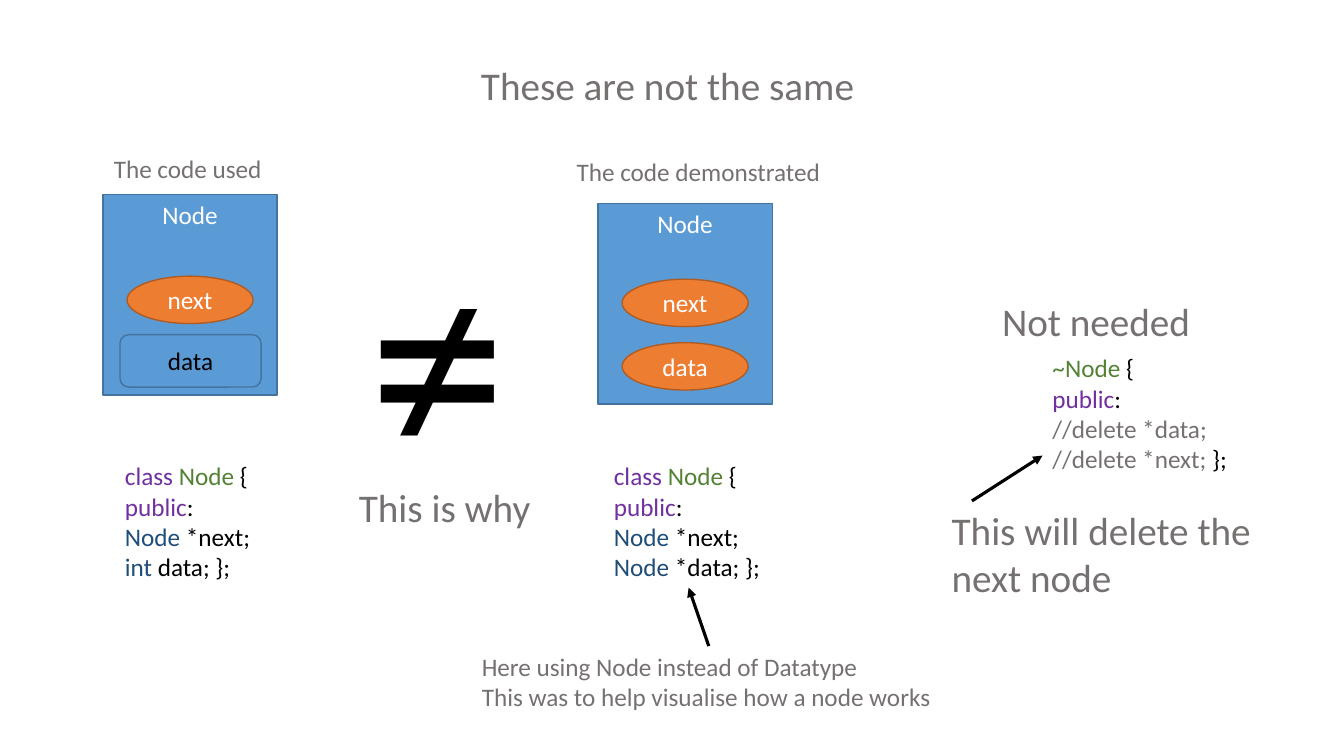
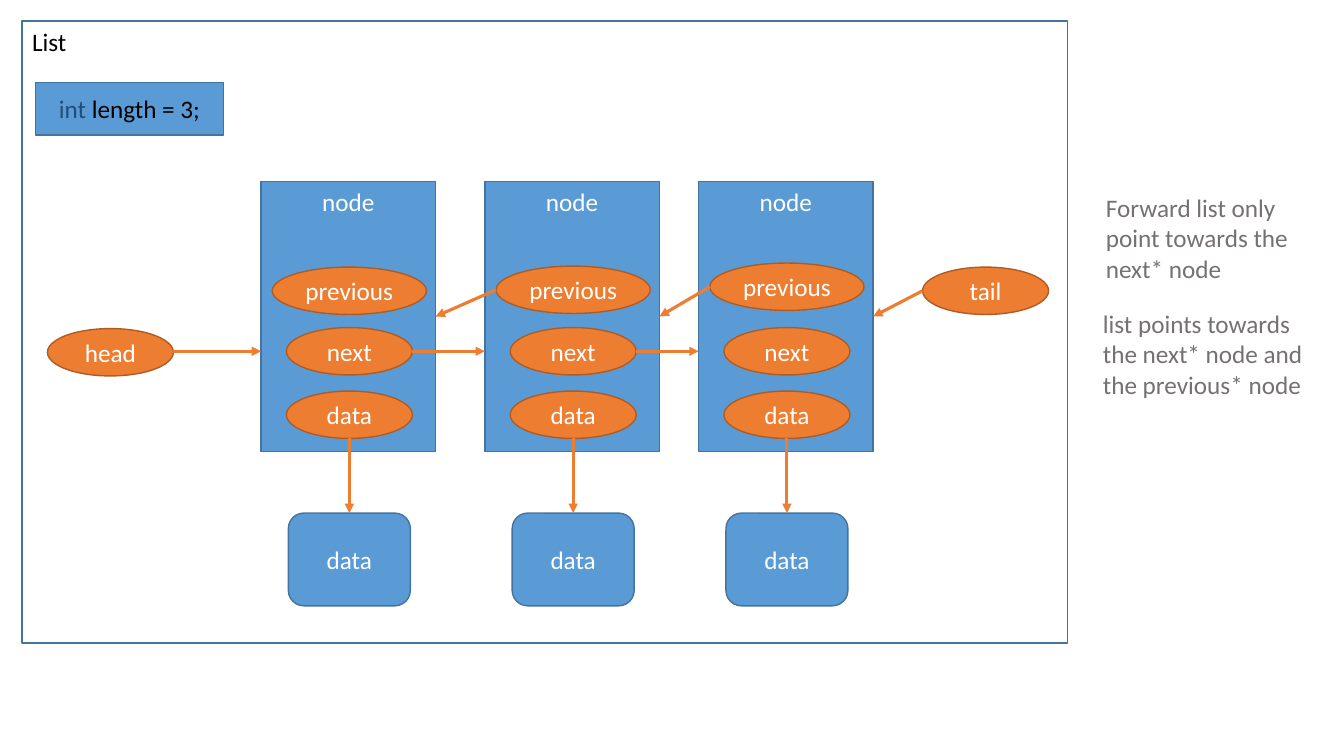
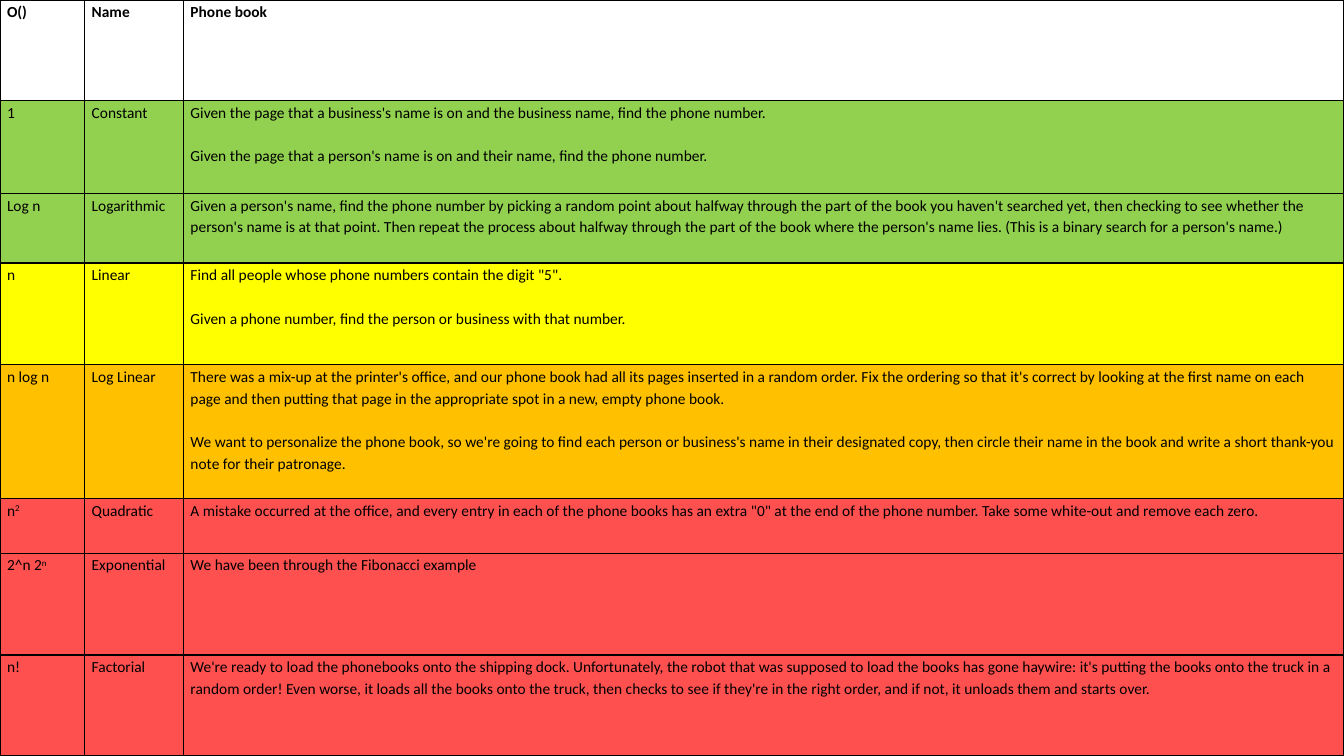
"""Build three slides on linked-list nodes and Big O notation."""
from lxml.etree import SubElement
from pptx import Presentation
from pptx.dml.color import RGBColor
from pptx.enum.shapes import MSO_CONNECTOR, MSO_SHAPE
from pptx.enum.text import MSO_ANCHOR, MSO_AUTO_SIZE, PP_ALIGN
from pptx.oxml.ns import qn
from pptx.util import Inches, Pt

FONT = "Calibri"
BLACK, WHITE, GREY = "000000", "FFFFFF", "767171"
PURPLE, GREEN, NAVY = "7030A0", "548235", "1F4E79"
BLUE, BLUE_EDGE, ORANGE, ORANGE_EDGE = "5B9BD5", "43739E", "ED7D31", "AF5C24"
LIME, YELLOW, AMBER, RED = "92D050", "FFFF00", "FFC000", "FF5050"
SLIDE_WIDTH, SLIDE_HEIGHT = 13.33, 7.5
NODE_WIDTH = 1.73
POINTER_WIDTH, POINTER_HEIGHT = 1.25, 0.47
RECTANGLE, ROUNDED, ELLIPSE = MSO_SHAPE.RECTANGLE, MSO_SHAPE.ROUNDED_RECTANGLE, MSO_SHAPE.OVAL
TOP_SIDE, RIGHT_SIDE = 0, 3

TITLE = ("These are not the same", (4.67, 0.56, 3.94, 0.57))
PUBLIC_LINE = [("public", PURPLE), (":", BLACK)]
CLASS_OPENING = [
    [("class ", PURPLE), ("Node ", GREEN), ("{", BLACK)],
    PUBLIC_LINE,
    [("Node ", NAVY), ("*next;", BLACK)],
]
CODE_BLOCKS = [
    ((1.14, 4.52, 1.49, 1.31), CLASS_OPENING + [[("int", NAVY), (" data; };", BLACK)]]),
    ((5.99, 4.52, 1.67, 1.31), CLASS_OPENING + [[("Node ", NAVY), ("*data; };", BLACK)]]),
    ((10.34, 3.45, 1.95, 1.31), [
        [("~Node ", GREEN), ("{", BLACK)],
        PUBLIC_LINE,
        ["//delete *data;"],
        ["//delete *next; ", ("};", BLACK)],
    ]),
]
CAPTIONS = [
    ((1.03, 1.47, 1.69, 0.4), ["The code used"], {}),
    ((5.62, 1.5, 2.65, 0.4), ["The code demonstrated"], {}),
    ((3.56, 1.76, 1.59, 3.45), ["≠"], {"size": 199, "color": BLACK}),
    ((3.46, 4.75, 1.92, 0.57), ["This is why"], {"size": 28}),
    ((9.84, 2.9, 2.09, 0.57), ["Not needed"], {"size": 28}),
    ((9.34, 4.97, 3.35, 1.04), ["This will delete the next node"], {"size": 28, "wrap": True}),
    ((4.68, 6.41, 4.71, 0.71), ["Here using Node instead of Datatype",
                               "This was to help visualise how a node works"], {}),
]
NOTE_ARROWS = [((9.64, 4.97), (10.34, 4.52)), ((7.03, 6.41), (6.83, 5.83))]

LIST_NODES = [(2.59, 2.65), (4.81, 2.64), (6.93, 2.61)]
LIST_NODE_TOP, LIST_NODE_HEIGHT = 1.8, 2.68
NEXT_TOP, DATA_TOP, STORE_TOP = 3.25, 3.88, 5.09
PREVIOUS_WIDTH, STORE_WIDTH, STORE_HEIGHT = 1.53, 1.21, 0.92
HEAD, TAIL = (0.47, 3.26), (9.15, 2.65)
LIST_NOTES = [
    ((10.87, 1.86, 2.2, 1.01), "Forward list only point towards the next* node"),
    ((10.84, 3.01, 2.2, 1.01), "list points towards the next* node and the previous* node"),
]

COLUMN_WIDTHS = [0.84, 0.98, 11.51]
TABLE_ROWS = [
    (1, WHITE, ["O()"], "Name", ["Phone book"]),
    (0.92, LIME, ["1"], "Constant", [
        "Given the page that a business's name is on and the business name, find the phone number.",
        "Given the page that a person's name is on and their name, find the phone number."]),
    (0.69, LIME, ["Log n"], "Logarithmic", [
        "Given a person's name, find the phone number by picking a random point about halfway "
        "through the part of the book you haven't searched yet, then checking to see whether the "
        "person's name is at that point. Then repeat the process about halfway through the part "
        "of the book where the person's name lies. (This is a binary search for a person's name.)"]),
    (1.01, YELLOW, ["n"], "Linear", [
        "Find all people whose phone numbers contain the digit \"5\".",
        "Given a phone number, find the person or business with that number."]),
    (1.33, AMBER, ["n log n"], "Log Linear", [
        "There was a mix-up at the printer's office, and our phone book had all its pages inserted "
        "in a random order. Fix the ordering so that it's correct by looking at the first name on "
        "each page and then putting that page in the appropriate spot in a new, empty phone book.",
        "We want to personalize the phone book, so we're going to find each person or business's "
        "name in their designated copy, then circle their name in the book and write a short "
        "thank-you note for their patronage."]),
    (0.54, RED, ["n", ("2", BLACK, 30)], "Quadratic", [
        "A mistake occurred at the office, and every entry in each of the phone books has an extra "
        "\"0\" at the end of the phone number. Take some white-out and remove each zero."]),
    (1.01, RED, ["2^n 2", ("n", BLACK, 30)], "Exponential", [
        "We have been through the Fibonacci example"]),
    (1, RED, ["n!"], "Factorial", [
        "We're ready to load the phonebooks onto the shipping dock. Unfortunately, the robot that "
        "was supposed to load the books has gone haywire: it's putting the books onto the truck in "
        "a random order! Even worse, it loads all the books onto the truck, then checks to see if "
        "they're in the right order, and if not, it unloads them and starts over."]),
]


def rgb(color):
    return RGBColor.from_string(color)


def inches(lengths):
    return [Inches(length) for length in lengths]


def write_text(frame, lines, size=18, color=GREY, bold=False, align=PP_ALIGN.LEFT,
               line_spacing=None, gap=0):
    for index, line in enumerate(lines):
        paragraph = frame.add_paragraph() if index else frame.paragraphs[0]
        paragraph.alignment = align
        if line_spacing:
            paragraph.line_spacing = line_spacing
        if index and gap:
            paragraph.space_before = Pt(gap)
        for part in [line] if isinstance(line, str) else line:
            text, run_color, raised = (part, color, 0) if isinstance(part, str) else (*part, 0)[:3]
            run = paragraph.add_run()
            run.text = text
            run.font.name, run.font.size, run.font.bold = FONT, Pt(size), bold
            run.font.color.rgb = rgb(run_color)
            if raised:
                run._r.get_or_add_rPr().set("baseline", str(raised * 1000))


def add_text(slide, box, lines, wrap=False, **text_format):
    frame = slide.shapes.add_textbox(*inches(box)).text_frame
    frame.word_wrap = wrap
    frame.auto_size = MSO_AUTO_SIZE.SHAPE_TO_FIT_TEXT
    write_text(frame, lines, **text_format)


def add_box(slide, kind, box, lines, fill=BLUE, edge=BLUE_EDGE, anchor=MSO_ANCHOR.MIDDLE,
            color=WHITE, align=PP_ALIGN.CENTER):
    shape = slide.shapes.add_shape(kind, *inches(box))
    shape.shadow.inherit = False
    if fill:
        shape.fill.solid()
        shape.fill.fore_color.rgb = rgb(fill)
    else:
        shape.fill.background()
    shape.line.color.rgb, shape.line.width = rgb(edge), Pt(1)
    shape.text_frame.vertical_anchor = anchor
    write_text(shape.text_frame, lines, color=color, align=align)
    return shape


def add_node(slide, left, top, height, name):
    return add_box(slide, RECTANGLE, (left, top, NODE_WIDTH, height), [name], anchor=MSO_ANCHOR.TOP)


def add_pointer(slide, left, top, name, width=POINTER_WIDTH):
    add_box(slide, ELLIPSE, (left, top, width, POINTER_HEIGHT), [name], ORANGE, ORANGE_EDGE)


def add_arrow(slide, start, end, color=ORANGE, target=None, side=None):
    arrow = slide.shapes.add_connector(MSO_CONNECTOR.STRAIGHT, *inches(start + end))
    if target is not None:
        arrow.end_connect(target, side)
    arrow.line.color.rgb, arrow.line.width = rgb(color), Pt(2.25)
    SubElement(arrow.line._get_or_add_ln(), qn("a:tailEnd"), type="triangle")
    SubElement(arrow._element.spPr, qn("a:effectLst"))


def build_comparison(presentation):
    slide = presentation.slides.add_slide(presentation.slide_layouts[5])
    text, box = TITLE
    title = slide.shapes.title
    title.left, title.top, title.width, title.height = inches(box)
    title.text_frame.word_wrap = False
    title.text_frame.auto_size = MSO_AUTO_SIZE.SHAPE_TO_FIT_TEXT
    title.text_frame.vertical_anchor = MSO_ANCHOR.TOP
    write_text(title.text_frame, [text], size=28)

    pointer_indent = (NODE_WIDTH - POINTER_WIDTH) / 2
    for left, top, pointers in [(1.02, 1.93, [("next", 2.74)]),
                                (5.93, 2.02, [("next", 2.77), ("data", 3.4)])]:
        add_node(slide, left, top, 1.99, "Node")
        for name, pointer_top in pointers:
            add_pointer(slide, left + pointer_indent, pointer_top, name)
    add_box(slide, ROUNDED, (1.19, 3.32, 1.4, 0.52), ["data"], color=BLACK)
    for box, lines in CODE_BLOCKS:
        add_text(slide, box, lines)
    for box, lines, text_format in CAPTIONS:
        add_text(slide, box, lines, **text_format)
    for start, end in NOTE_ARROWS:
        add_arrow(slide, start, end, BLACK)


def build_list(presentation):
    slide = presentation.slides.add_slide(presentation.slide_layouts[6])
    add_box(slide, RECTANGLE, (0.22, 0.21, 10.37, 6.17), ["List"], fill=None,
            anchor=MSO_ANCHOR.TOP, color=BLACK, align=PP_ALIGN.LEFT)
    add_box(slide, RECTANGLE, (0.35, 0.82, 1.87, 0.52), [[("int", NAVY), (" length = 3;", BLACK)]])
    nodes = [add_node(slide, left, LIST_NODE_TOP, LIST_NODE_HEIGHT, "node") for left, _ in LIST_NODES]
    half_pointer = POINTER_HEIGHT / 2
    node_middle = LIST_NODE_TOP + LIST_NODE_HEIGHT / 2
    next_middle = NEXT_TOP + half_pointer
    add_pointer(slide, *HEAD, "head")
    add_pointer(slide, *TAIL, "tail")

    next_start = HEAD[0] + POINTER_WIDTH
    back_links = []
    for left, previous_top in LIST_NODES:
        center = left + NODE_WIDTH / 2 + 0.01
        pointer_left = center - POINTER_WIDTH / 2
        previous_left = center - PREVIOUS_WIDTH / 2
        add_pointer(slide, previous_left, previous_top, "previous", PREVIOUS_WIDTH)
        add_pointer(slide, pointer_left, NEXT_TOP, "next")
        add_pointer(slide, pointer_left, DATA_TOP, "data")
        store = add_box(slide, ROUNDED, (center - STORE_WIDTH / 2, STORE_TOP, STORE_WIDTH, STORE_HEIGHT),
                        ["data"])
        add_arrow(slide, (center, DATA_TOP + POINTER_HEIGHT), (center, STORE_TOP),
                  target=store, side=TOP_SIDE)
        add_arrow(slide, (next_start, next_middle), (left, next_middle))
        next_start = pointer_left + POINTER_WIDTH
        back_links.append((previous_left, previous_top + half_pointer))

    back_links = back_links[1:] + [(TAIL[0], TAIL[1] + half_pointer)]
    for start, (left, _), node in zip(back_links, LIST_NODES, nodes):
        add_arrow(slide, start, (left + NODE_WIDTH, node_middle), target=node, side=RIGHT_SIDE)
    for box, note in LIST_NOTES:
        add_text(slide, box, [note], wrap=True)


def format_cell(cell, fill):
    properties = cell._tc.get_or_add_tcPr()
    for edge in ("a:lnL", "a:lnR", "a:lnT", "a:lnB"):
        line = SubElement(properties, qn(edge), w=str(Pt(1)))
        SubElement(SubElement(line, qn("a:solidFill")), qn("a:srgbClr"), val=BLACK)
    cell.fill.solid()
    cell.fill.fore_color.rgb = rgb(fill)
    cell.margin_left = cell.margin_right = Inches(0.07)
    cell.margin_top = cell.margin_bottom = 0


def build_table(presentation):
    slide = presentation.slides.add_slide(presentation.slide_layouts[6])
    table = slide.shapes.add_table(len(TABLE_ROWS), len(COLUMN_WIDTHS),
                                   *inches((0, 0, SLIDE_WIDTH, SLIDE_HEIGHT))).table
    table.horz_banding = False
    for column, width in zip(table.columns, COLUMN_WIDTHS):
        column.width = Inches(width)
    for index, (height, fill, order, name, examples) in enumerate(TABLE_ROWS):
        table.rows[index].height = Inches(height)
        for cell, lines in zip(table.rows[index].cells, ([order], [name], examples)):
            format_cell(cell, fill)
            write_text(cell.text_frame, lines, size=11, color=BLACK, bold=index == 0,
                       line_spacing=1.15, gap=15.5)


def main():
    presentation = Presentation()
    presentation.slide_width, presentation.slide_height = inches((SLIDE_WIDTH, SLIDE_HEIGHT))
    build_comparison(presentation)
    build_list(presentation)
    build_table(presentation)
    presentation.save("out.pptx")


if __name__ == "__main__":
    main()
